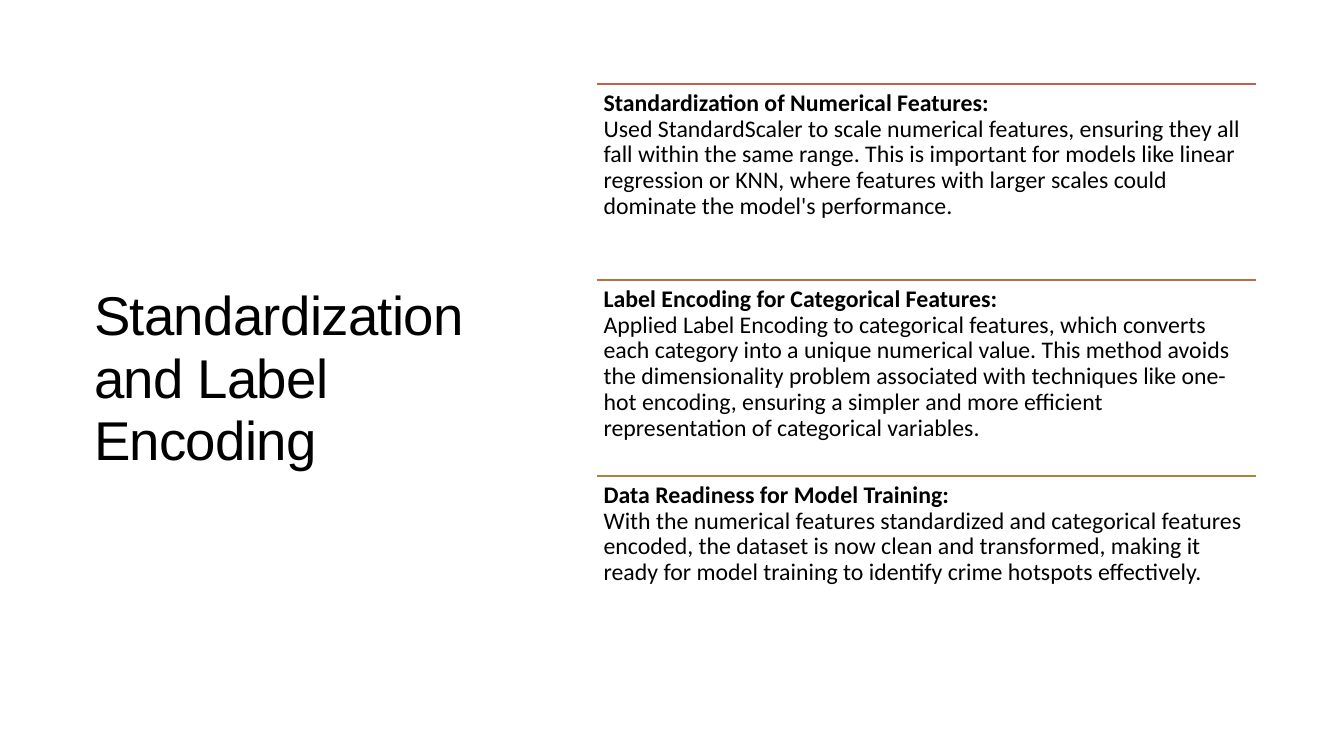
from pptx import Presentation
from pptx.dml.color import RGBColor
from pptx.enum.shapes import MSO_CONNECTOR as CONNECTOR
from pptx.enum.text import MSO_ANCHOR as ANCHOR, MSO_AUTO_SIZE as AUTO_SIZE, PP_ALIGN as ALIGN
from pptx.oxml.ns import qn
from pptx.util import Pt
from lxml.etree import SubElement

BLACK = RGBColor(0x00, 0x00, 0x00)
WHITE = RGBColor(0xFF, 0xFF, 0xFF)
RED = RGBColor(0xC3, 0x60, 0x4D)
ORANGE = RGBColor(0xBE, 0x6F, 0x40)
OCHRE = RGBColor(0xB1, 0x80, 0x3B)

SECTION_LEFT, SECTION_TOP = 426.2, 60
SECTION_WIDTH, SECTION_HEIGHT = 471, 140

SECTIONS = [
    (RED, "Standardization of Numerical Features:",
     "Used StandardScaler to scale numerical features, ensuring they all fall within the same "
     "range. This is important for models like linear regression or KNN, where features with "
     "larger scales could dominate the model's performance."),
    (ORANGE, "Label Encoding for Categorical Features:",
     "Applied Label Encoding to categorical features, which converts each category into a unique "
     "numerical value. This method avoids the dimensionality problem associated with techniques "
     "like one-hot encoding, ensuring a simpler and more efficient representation of categorical "
     "variables."),
    (OCHRE, "Data Readiness for Model Training:",
     "With the numerical features standardized and categorical features encoded, the dataset is "
     "now clean and transformed, making it ready for model training to identify crime hotspots "
     "effectively."),
]


class PageBuilder:
    title_font, title_size = "Arial", 39
    body_font, body_size = "Calibri", 17
    inset = 5

    def __init__(self, page):
        self.page = page
        fill = page.background.fill
        fill.solid()
        fill.fore_color.rgb = WHITE

    def span(self, para, text, font, size, bold=False):
        span = para.add_run()
        span.text = text
        span.font.name = font
        span.font.size = Pt(size)
        span.font.bold = bold
        span.font.color.rgb = BLACK
        return span

    def title(self, text, left, top, width, height):
        box = self.page.shapes.title
        box.left, box.top, box.width, box.height = Pt(left), Pt(top), Pt(width), Pt(height)
        frame = box.text_frame
        frame.word_wrap = True
        frame.auto_size = AUTO_SIZE.NONE
        frame.vertical_anchor = ANCHOR.MIDDLE
        para = frame.paragraphs[0]
        para.alignment = ALIGN.LEFT
        para.line_spacing = 0.95
        span = self.span(para, text, self.title_font, self.title_size)
        span.font._element.set("spc", "-50")

    def rule(self, left, top, width, color):
        line = self.page.shapes.add_connector(
            CONNECTOR.STRAIGHT, Pt(left), Pt(top), Pt(left + width), Pt(top))
        line.line.color.rgb = color
        line.line.width = Pt(1)
        SubElement(line._element.spPr, qn("a:effectLst"))

    def passage(self, heading, text, left, top, width, height):
        box = self.page.shapes.add_textbox(Pt(left), Pt(top), Pt(width), Pt(height))
        frame = box.text_frame
        frame.word_wrap = True
        frame.margin_left = frame.margin_right = Pt(self.inset)
        frame.margin_top = frame.margin_bottom = Pt(self.inset)
        para = frame.paragraphs[0]
        para.line_spacing = 0.9
        self.span(para, heading, self.body_font, self.body_size, bold=True)
        para.add_line_break()
        self.span(para, text, self.body_font, self.body_size)


def main():
    deck = Presentation()
    deck.slide_width, deck.slide_height = Pt(960), Pt(540)
    builder = PageBuilder(deck.slides.add_slide(deck.slide_layouts[5]))
    builder.title("Standardization and Label Encoding", 60, 61, 307.5, 420)
    for index, (color, heading, text) in enumerate(SECTIONS):
        top = SECTION_TOP + index * SECTION_HEIGHT
        builder.rule(SECTION_LEFT, top, SECTION_WIDTH, color)
        builder.passage(heading, text, SECTION_LEFT, top, SECTION_WIDTH, SECTION_HEIGHT)
    deck.save("out.pptx")


if __name__ == "__main__":
    main()
